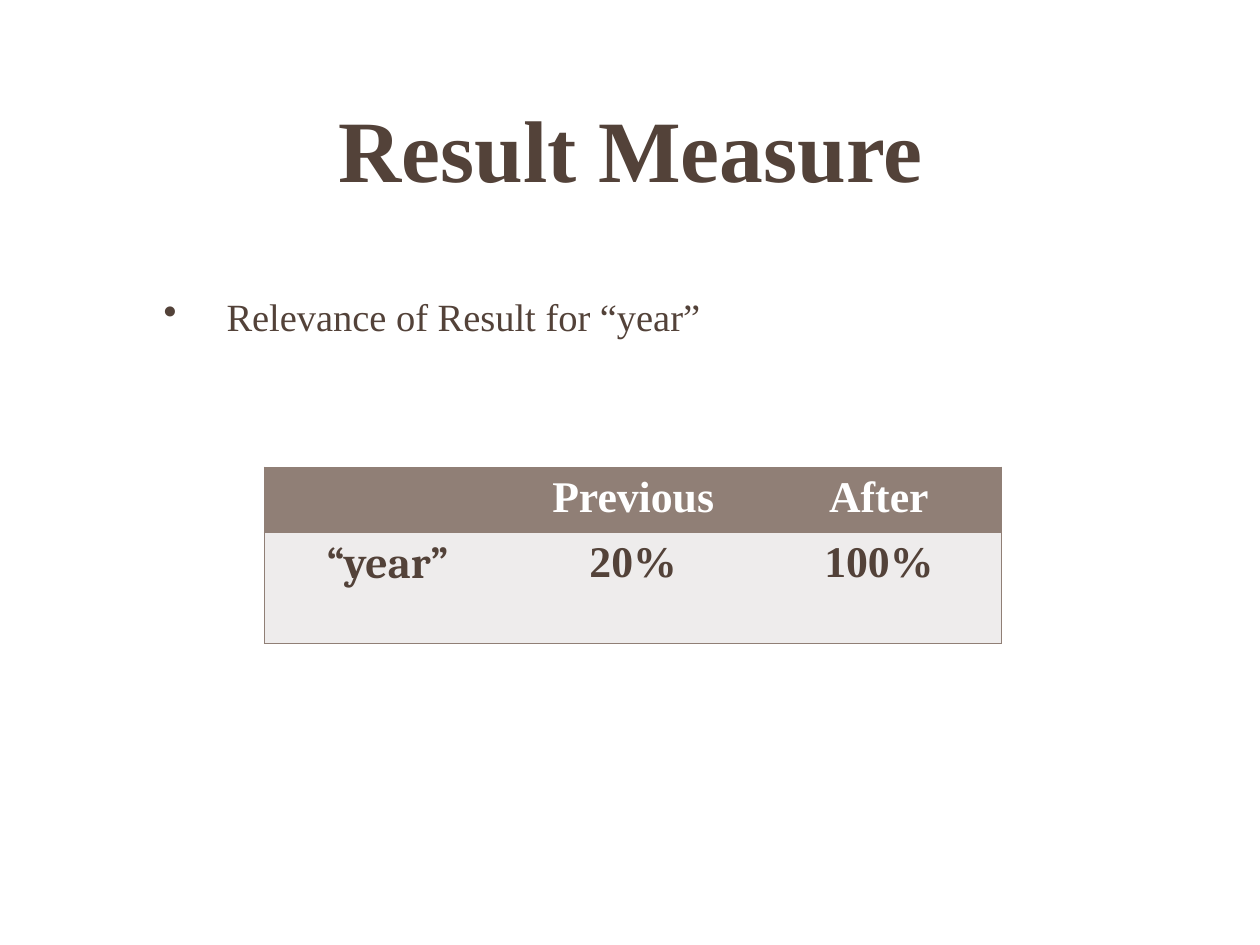
from dataclasses import dataclass

import pptx
import pptx.dml.color
import pptx.enum.text
import pptx.oxml
import pptx.oxml.ns
import pptx.util
from pptx.util import Inches

RGB = pptx.dml.color.RGBColor.from_string
ALIGN = pptx.enum.text.PP_ALIGN
ANCHOR = pptx.enum.text.MSO_ANCHOR


@dataclass(frozen=True)
class Theme:
    text: str = "534239"
    accent: str = "907F76"
    band: str = "EEECEC"
    white: str = "FFFFFF"
    font: str = "Times New Roman"
    label_font: str = "Cambria"
    title_size: int = 50
    body_size: int = 22
    table_size: int = 25


THEME = Theme()


def add_span(para, text, size, color=THEME.text, bold=False, font=THEME.font):
    span = para.add_run()
    span.text = text
    span.font.name = font
    span.font.size = pptx.util.Pt(size)
    span.font.bold = bold
    span.font.color.rgb = RGB(color)


def add_xml(parent, tag, attributes, content=""):
    namespace = pptx.oxml.ns.nsdecls("a")
    parent.append(pptx.oxml.parse_xml(
        f"<a:{tag} {namespace} {attributes}>{content}</a:{tag}>"))


def add_text_box(page, box, anchor):
    frame = page.shapes.add_textbox(*box).text_frame
    frame.word_wrap = True
    frame.vertical_anchor = anchor
    return frame.paragraphs[0]


def add_title(page, box, text):
    para = add_text_box(page, box, ANCHOR.MIDDLE)
    para.alignment = ALIGN.CENTER
    add_span(para, text, THEME.title_size, bold=True)


def add_bullet(page, box, text):
    para = add_text_box(page, box, ANCHOR.TOP)
    para.space_before = pptx.util.Pt(20)
    properties = para._p.get_or_add_pPr()
    properties.set("marL", str(Inches(0.5)))
    properties.set("indent", str(Inches(-0.5)))
    add_xml(properties, "buChar", 'char="•"')
    add_span(para, text, THEME.body_size)


def style_cell(cell, fill, sides):
    """Fill the cell and draw lines on the given sides only."""
    properties = cell._tc.get_or_add_tcPr()
    for side in "LRTB":
        if side in sides:
            paint = f'<a:solidFill><a:srgbClr val="{THEME.accent}"/></a:solidFill>'
        else:
            paint = "<a:noFill/>"
        add_xml(properties, f"ln{side}", f'w="{pptx.util.Pt(1)}"', paint)
    cell.fill.solid()
    cell.fill.fore_color.rgb = RGB(fill)


def add_result_table(page, box, rows, row_heights):
    left, top, width, height = box
    column_count = len(rows[0])
    table = page.shapes.add_table(
        len(rows), column_count, left, top, width, height).table
    for column in table.columns:
        column.width = width // column_count
    for r, (texts, row_height) in enumerate(zip(rows, row_heights)):
        table.rows[r].height = row_height
        header = r == 0
        for c, text in enumerate(texts):
            cell = table.cell(r, c)
            sides = "TB" + ("L" if c == 0 else "")
            sides += "R" if c == column_count - 1 else ""
            style_cell(cell, THEME.accent if header else THEME.band, sides)
            para = cell.text_frame.paragraphs[0]
            para.alignment = ALIGN.CENTER
            if text:
                add_span(para, text, THEME.table_size,
                         THEME.white if header else THEME.text, True,
                         THEME.label_font if c == 0 else THEME.font)


def main():
    deck = pptx.Presentation()
    deck.slide_width, deck.slide_height = Inches(10), Inches(7.5)
    page = deck.slides.add_slide(deck.slide_layouts[6])
    add_title(page, (Inches(0.88), Inches(0.42), Inches(8.25), Inches(1.5)),
              "Result Measure")
    add_bullet(page, (Inches(1.2), Inches(2.28), Inches(7.6), Inches(3.98)),
               "Relevance of Result for “year”")
    add_result_table(
        page, (Inches(2.1), Inches(3.71), Inches(5.85), Inches(1.4)),
        [["", "Previous", "After"], ["“year”", "20%", "100%"]],
        [Inches(0.44), Inches(0.88)])
    deck.save("out.pptx")


if __name__ == "__main__":
    main()
